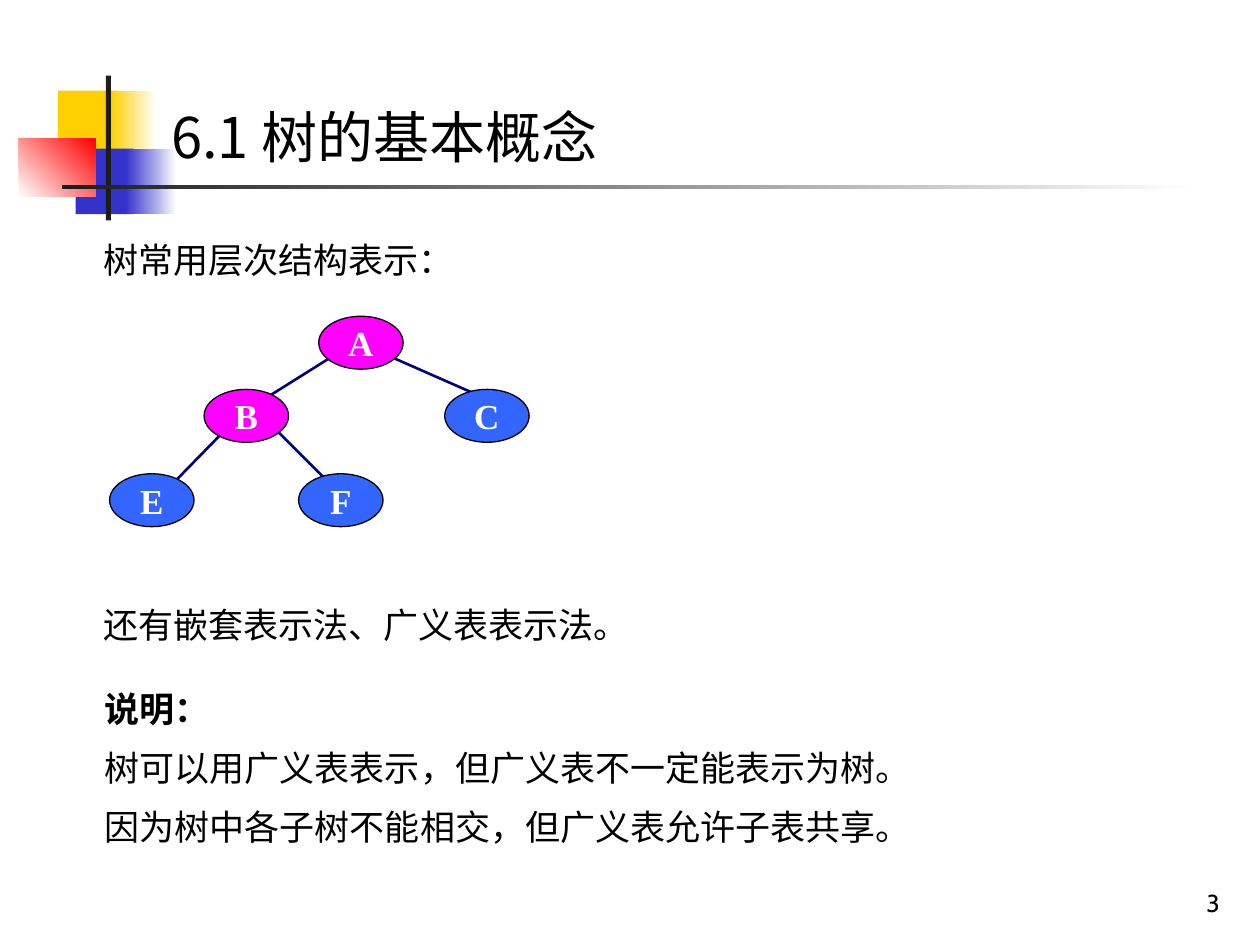
from dataclasses import dataclass

from lxml.etree import SubElement
from pptx import Presentation
from pptx.dml.color import RGBColor
from pptx.enum.shapes import MSO_CONNECTOR, MSO_SHAPE
from pptx.enum.text import MSO_ANCHOR, MSO_AUTO_SIZE, PP_ALIGN
from pptx.oxml.ns import qn
from pptx.util import Inches, Pt


@dataclass
class Theme:
    black: str = "000000"
    white: str = "FFFFFF"
    yellow: str = "FFCF01"
    indigo: str = "3333CC"
    red: str = "FF0000"
    rule: str = "1C1C1C"
    edge: str = "000080"
    branch: str = "FF00FF"
    leaf: str = "3366FF"
    title_size: int = 32
    text_size: int = 20
    number_size: int = 14
    title_font: str = "Noto Sans CJK JP"
    text_font: str = "Cabin"
    node_font: str = "Times New Roman"


theme = Theme()


def write(shape, *lines, size=theme.text_size, font=theme.text_font,
          color=theme.black, bold_first=False, align=PP_ALIGN.JUSTIFY,
          anchor=MSO_ANCHOR.TOP, spacing=1.0, wrap=True):
    tf = shape.text_frame
    tf.word_wrap = wrap
    tf.auto_size = MSO_AUTO_SIZE.NONE
    tf.vertical_anchor = anchor
    for i, line in enumerate(lines):
        p = tf.paragraphs[0] if i == 0 else tf.add_paragraph()
        pPr = p._p.get_or_add_pPr()
        pPr.set("marL", "0")
        pPr.set("indent", "0")
        SubElement(pPr, qn("a:buNone"))
        p.alignment = align
        p.line_spacing = spacing
        p.space_before = Pt(5 if i else 0)
        r = p.add_run()
        r.text = line
        r.font.size = Pt(size)
        r.font.bold = bold_first and i == 0
        r.font.color.rgb = RGBColor.from_string(color)
        r.font.name = font
        SubElement(r._r.get_or_add_rPr(), qn("a:ea"), typeface=font)


def place(shape, *box):
    shape.left, shape.top, shape.width, shape.height = map(Inches, box)
    return shape


prs = Presentation()
prs.slide_width, prs.slide_height = Inches(10), Inches(7.5)
s = prs.slides.add_slide(prs.slide_layouts[1])
title, body = s.placeholders[0], s.placeholders[1]

# Decoration: left, top, width, height, colours (two make a gradient), angle
decoration = [
    (0.46, 0.72, 0.48, 0.52, [theme.yellow], 0),
    (0.88, 0.72, 0.36, 0.52, [theme.yellow, theme.white], 0),
    (0.6, 1.18, 0.46, 0.52, [theme.indigo], 0),
    (1, 1.18, 0.4, 0.52, [theme.indigo, theme.white], 0),
    (0.15, 1.1, 0.61, 0.46, [theme.white, theme.red], 45),
    (0.84, 0.6, 0.04, 1.15, [theme.rule], 0),
    (0.49, 1.47, 9, 0.03, [theme.rule, theme.white], 0),
]
for *box, colors, angle in decoration:
    sp = s.shapes.add_shape(MSO_SHAPE.RECTANGLE, *map(Inches, box))
    sp.shadow.inherit = False
    sp.line.fill.background()
    if len(colors) == 1:
        sp.fill.solid()
        sp.fill.fore_color.rgb = RGBColor.from_string(colors[0])
    else:
        sp.fill.gradient()
        sp.fill.gradient_angle = angle
        for stop, color, position in zip(sp.fill.gradient_stops, colors, (0, 1)):
            stop.color.rgb = RGBColor.from_string(color)
            stop.position = position

# The title and body stand in front of the decoration
for placeholder in (title, body):
    s.shapes._spTree.append(placeholder._element)
write(place(title, 1.26, 0.76, 8.74, 0.64), "6.1 树的基本概念",
      size=theme.title_size, font=theme.title_font, align=PP_ALIGN.LEFT,
      anchor=MSO_ANCHOR.MIDDLE)
write(place(body, 0.73, 5.34, 8.71, 1.61), "说明：",
      "树可以用广义表表示，但广义表不一定能表示为树。",
      "因为树中各子树不能相交，但广义表允许子表共享。",
      bold_first=True, spacing=1.2)

for text, *box in [("树常用层次结构表示：", 0.72, 1.84, 3.72, 0.54),
                   ("还有嵌套表示法、广义表表示法。", 0.72, 4.74, 4.58, 0.57)]:
    write(s.shapes.add_textbox(*map(Inches, box)), text)
number = s.shapes.add_textbox(*map(Inches, (7.7, 6.83, 2.08, 0.5)))
write(number, "3", size=theme.number_size, align=PP_ALIGN.RIGHT,
      anchor=MSO_ANCHOR.BOTTOM)

# Tree: edges first, so that the nodes cover their ends
tree = s.shapes.add_group_shape().shapes
edges = [(3.12, 2.84, 3.87, 3.17), (2.2, 3.42, 2.62, 3.84),
         (2.62, 2.84, 1.95, 3.26), (1.78, 3.42, 1.37, 3.84)]
for ends in edges:
    edge = tree.add_connector(MSO_CONNECTOR.STRAIGHT, *map(Inches, ends))
    edge.line.color.rgb = RGBColor.from_string(theme.edge)
    edge.line.width = Pt(1.5)
    SubElement(edge._element.spPr, qn("a:effectLst"))

nodes = [("A", 2.53, 2.51, theme.branch), ("C", 3.53, 3.09, theme.leaf),
         ("B", 1.62, 3.09, theme.branch), ("E", 0.87, 3.76, theme.leaf),
         ("F", 2.37, 3.76, theme.leaf)]
for label, left, top, color in nodes:
    node = tree.add_shape(MSO_SHAPE.OVAL, *map(Inches, (left, top, 0.67, 0.42)))
    node.shadow.inherit = False
    node.fill.solid()
    node.fill.fore_color.rgb = RGBColor.from_string(color)
    node.line.color.rgb = RGBColor.from_string(theme.black)
    node.line.width = Pt(0.75)
    write(node, label, font=theme.node_font, color=theme.white, bold_first=True,
          align=PP_ALIGN.CENTER, anchor=MSO_ANCHOR.MIDDLE, wrap=False)

prs.save("out.pptx")
